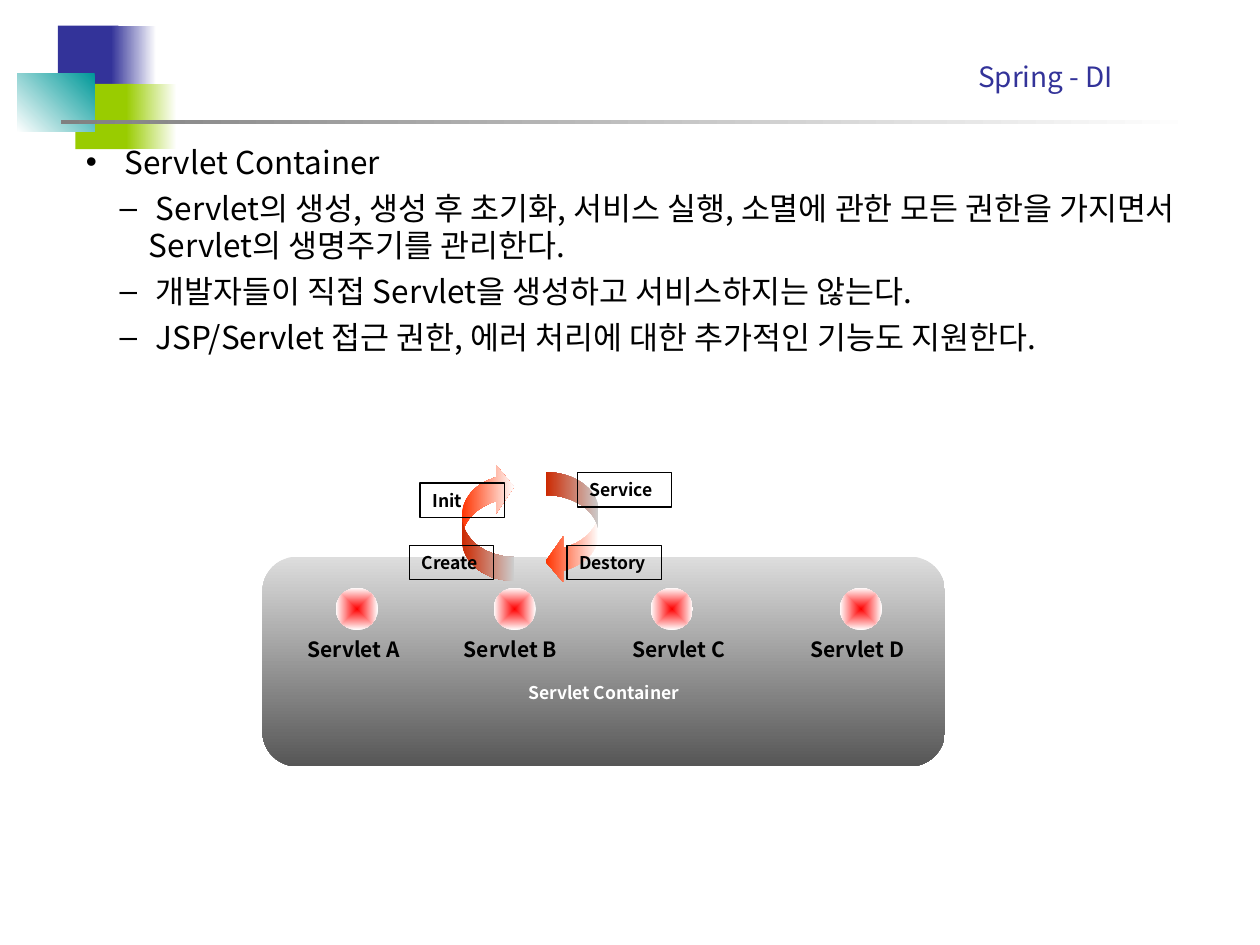
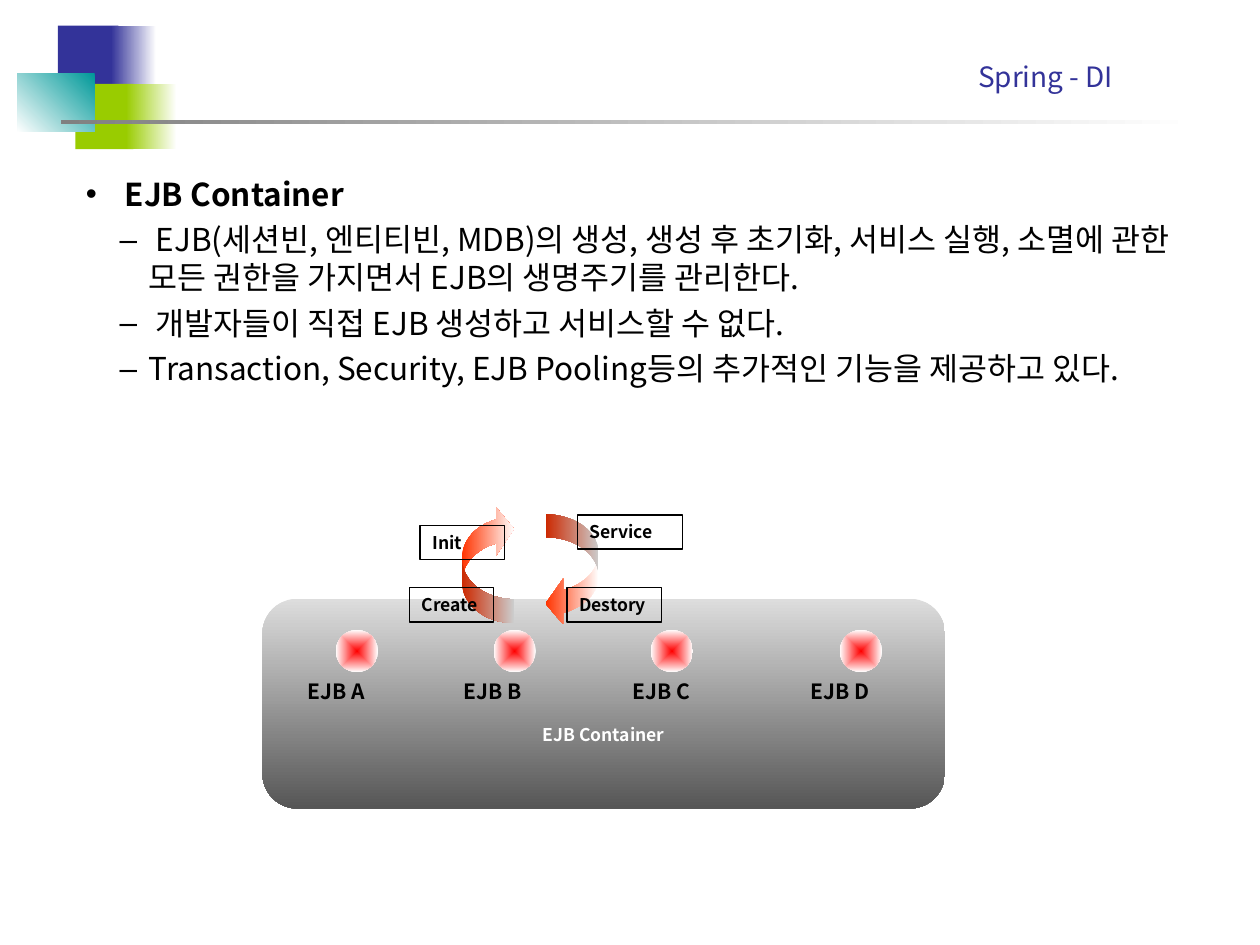
from lxml import etree
from pptx import Presentation
from pptx.dml.color import RGBColor
from pptx.enum.shapes import MSO_SHAPE
from pptx.enum.text import MSO_ANCHOR, MSO_AUTO_SIZE, PP_ALIGN
from pptx.oxml.ns import qn
from pptx.util import Cm, Pt

RECTANGLE = MSO_SHAPE.RECTANGLE
ROUNDED = MSO_SHAPE.ROUNDED_RECTANGLE
OVAL = MSO_SHAPE.OVAL
CURVED_ARROW = MSO_SHAPE.CURVED_LEFT_ARROW
TOP, MIDDLE = MSO_ANCHOR.TOP, MSO_ANCHOR.MIDDLE
LEFT, CENTER = PP_ALIGN.LEFT, PP_ALIGN.CENTER
NO_AUTOFIT = MSO_AUTO_SIZE.NONE

FONT = "Noto Sans CJK KR"
BLACK, WHITE = "000000", "FFFFFF"
NAVY, LIME, TEAL, GRAY = "333399", "99CC00", "009999", "808080"
RED, ORANGE = "FF0000", "FF3300"
LIGHT_GRAY, DARK_GRAY = "DDDDDD", "565656"

BANDS = [
    ((1.17, 0.52, 1.22, 1.32), [NAVY], 0),
    ((2.24, 0.52, 0.91, 1.32), [WHITE, NAVY], 180),
    ((1.52, 1.69, 1.17, 1.32), [LIME], 0),
    ((2.54, 1.69, 1.02, 1.32), [WHITE, LIME], 180),
    ((0.35, 1.48, 1.56, 1.18), [TEAL, WHITE], 225),
    ((1.24, 2.42, 22.86, 0.08), [WHITE, GRAY], 180),
]
MEMBERS = [("A", 6.77, 5.95), ("B", 9.95, 9.1), ("C", 13.12, 12.5), ("D", 16.93, 16.09)]
ARROWS = [
    ((9.31, 9.33, 1.05, 2.38), [ORANGE, WHITE], 180, (0.46, 0.92, 0.34)),
    ((11.0, 9.52, 1.07, 2.26), [WHITE, ORANGE], 0, (0.43, 0.86, 0.33)),
]
SLIDES = [
    {
        "name": "Servlet", "bold": False, "body": (1.48, 2.75, 22.65, 5.29),
        "drop": 0, "service_width": 1.9,
        "details": [
            " Servlet의 생성, 생성 후 초기화, 서비스 실행, 소멸에 관한 모든 권한을 가지면서 Servlet의 생명주기를 관리한다.",
            " 개발자들이 직접 Servlet을 생성하고 서비스하지는 않는다.",
            " JSP/Servlet 접근 권한, 에러 처리에 대한 추가적인 기능도 지원한다.",
        ],
    },
    {
        "name": "EJB", "bold": True, "body": (1.48, 3.39, 22.65, 5.93),
        "drop": 0.85, "service_width": 2.12,
        "details": [
            " EJB(세션빈, 엔티티빈, MDB)의 생성, 생성 후 초기화, 서비스 실행, 소멸에 관한 모든 권한을 가지면서 EJB의 생명주기를 관리한다.",
            " 개발자들이 직접 EJB 생성하고 서비스할 수 없다.",
            "Transaction, Security, EJB Pooling등의 추가적인 기능을 제공하고 있다.",
        ],
    },
]


def color(value):
    """Turn a hex string into a colour."""
    return RGBColor.from_string(value)


def apply(target, values):
    """Set each attribute of the target from a dict."""
    for name, value in values.items():
        setattr(target, name, value)


class Deck:
    """Holds the presentation style and the current slide."""

    def __init__(self):
        """Start an empty presentation."""
        self.presentation = Presentation()
        apply(self.presentation, {"slide_width": Cm(25.4), "slide_height": Cm(19.05)})
        self.slide = None
        self.drop = 0

    def add_slide(self, title):
        """Add a slide with the shared bands and title."""
        self.drop = 0
        self.slide = self.presentation.slides.add_slide(self.presentation.slide_layouts[1])
        for box, colors, angle in BANDS:
            self.shape(RECTANGLE, box, colors, angle)
        shape = self.slide.shapes.title
        self.place(shape, (19.47, 1.07, 4.4, 0.94))
        self.add_text(shape.text_frame.paragraphs[0], title, 16, NAVY)

    def place(self, shape, box):
        """Move a placeholder and give its text frame the shared layout."""
        apply(shape, dict(zip(("left", "top", "width", "height"), map(Cm, box))))
        self.frame(shape.text_frame)

    def frame(self, text_frame, **changes):
        """Format a text frame."""
        apply(text_frame, {
            "word_wrap": True, "auto_size": NO_AUTOFIT, "vertical_anchor": TOP,
            "margin_left": Cm(0.25), "margin_right": Cm(0.25),
            "margin_top": Cm(0.13), "margin_bottom": Cm(0.13), **changes,
        })

    def add_text(self, paragraph, text, size, fill, bold=False, align=LEFT):
        """Fill a paragraph with one formatted run."""
        paragraph.alignment = align
        run = paragraph.add_run()
        run.text = text
        apply(run.font, {"size": Pt(size), "bold": bold, "name": FONT})
        run.font.color.rgb = color(fill)
        latin = run._r.get_or_add_rPr().find(qn("a:latin"))
        latin.addnext(latin.makeelement(qn("a:ea"), {"typeface": FONT}))

    def bullets(self, box, heading, details, bold):
        """Fill the body placeholder with a heading and its details."""
        shape = self.slide.placeholders[1]
        self.place(shape, box)
        text_frame = shape.text_frame
        for index, text in enumerate([heading, *details]):
            paragraph = text_frame.add_paragraph() if index else text_frame.paragraphs[0]
            paragraph.level = min(index, 1)
            paragraph.space_before = Pt(4.5 if index else 0)
            margin, hanging, mark = (1.27, 0.59, "–") if index else (0.64, 0.64, "•")
            properties = paragraph._p.get_or_add_pPr()
            properties.set("marL", str(Cm(margin)))
            properties.set("indent", str(-Cm(hanging)))
            bullet_color = etree.SubElement(properties, qn("a:buClr"))
            etree.SubElement(bullet_color, qn("a:srgbClr"), val=BLACK)
            etree.SubElement(properties, qn("a:buChar"), char=mark)
            self.add_text(paragraph, text, 18, BLACK, bold and not index)

    def shape(self, kind, box, colors=(), angle=0):
        """Add a preset shape with no fill, one colour or a gradient."""
        left, top, width, height = box
        shape = self.slide.shapes.add_shape(
            kind, Cm(left), Cm(top + self.drop), Cm(width), Cm(height))
        shape.shadow.inherit = False
        shape.line.fill.background()
        if len(colors) == 2:
            shape.fill.gradient()
            shape.fill.gradient_angle = angle
            for position, (stop, value) in enumerate(zip(shape.fill.gradient_stops, colors)):
                stop.color.rgb = color(value)
                stop.position = position
        elif colors:
            shape.fill.solid()
            shape.fill.fore_color.rgb = color(colors[0])
        else:
            shape.fill.background()
        return shape

    def container(self, text):
        """Add the large container with its caption below the middle."""
        shape = self.shape(ROUNDED, (5.29, 11.22, 13.76, 4.23), [LIGHT_GRAY, DARK_GRAY], 270)
        shape.adjustments[0] = 0.167
        self.frame(shape.text_frame, vertical_anchor=MIDDLE, margin_top=Cm(1.37))
        self.add_text(shape.text_frame.paragraphs[0], text, 10, WHITE, True, CENTER)

    def dot(self, left):
        """Add a glowing dot that fades outwards."""
        shape = self.shape(OVAL, (left, 11.85, 0.85, 0.85), [RED, WHITE])
        linear = shape.element.spPr.find(".//" + qn("a:lin"))
        gradient = linear.getparent()
        gradient.remove(linear)
        glow = etree.SubElement(gradient, qn("a:path"), {"path": "rect"})
        etree.SubElement(glow, qn("a:fillToRect"), dict.fromkeys("ltrb", "50000"))

    def arrow(self, box, colors, rotation, adjustments):
        """Add a curved arrow of the life cycle."""
        shape = self.shape(CURVED_ARROW, box, colors, 180)
        shape.rotation = rotation
        for index, value in enumerate(adjustments):
            shape.adjustments[index] = value

    def label(self, text, left):
        """Add a bold label under a dot."""
        shape = self.slide.shapes.add_textbox(
            Cm(left), Cm(12.7 + self.drop), Cm(2.54), Cm(0.76))
        self.frame(shape.text_frame)
        self.add_text(shape.text_frame.paragraphs[0], text, 12, BLACK, True)

    def step(self, text, left, top, width):
        """Add an outlined life cycle step."""
        shape = self.shape(RECTANGLE, (left, top, width, 0.69))
        shape.line.color.rgb = color(BLACK)
        shape.line.width = Pt(0.75)
        self.frame(shape.text_frame)
        self.add_text(shape.text_frame.paragraphs[0], text, 10, BLACK, True)

    def diagram(self, name, drop, service_width):
        """Draw the container, its members and the life cycle."""
        self.drop = drop
        self.container(f"{name} Container")
        for _, dot_left, _ in MEMBERS:
            self.dot(dot_left)
        for arrow in ARROWS:
            self.arrow(*arrow)
        for letter, _, label_left in MEMBERS:
            self.label(f"{name} {letter}", label_left)
        self.step("Create", 8.25, 11, 1.7)
        self.step("Init", 8.47, 9.74, 1.7)
        self.step("Service", 11.64, 9.53, service_width)
        self.step("Destory", 11.43, 11, 1.9)


def main():
    """Build and save both slides."""
    deck = Deck()
    for content in SLIDES:
        name = content["name"]
        deck.add_slide("Spring - DI")
        deck.bullets(content["body"], f" {name} Container", content["details"], content["bold"])
        deck.diagram(name, content["drop"], content["service_width"])
    deck.presentation.save("out.pptx")


if __name__ == "__main__":
    main()
